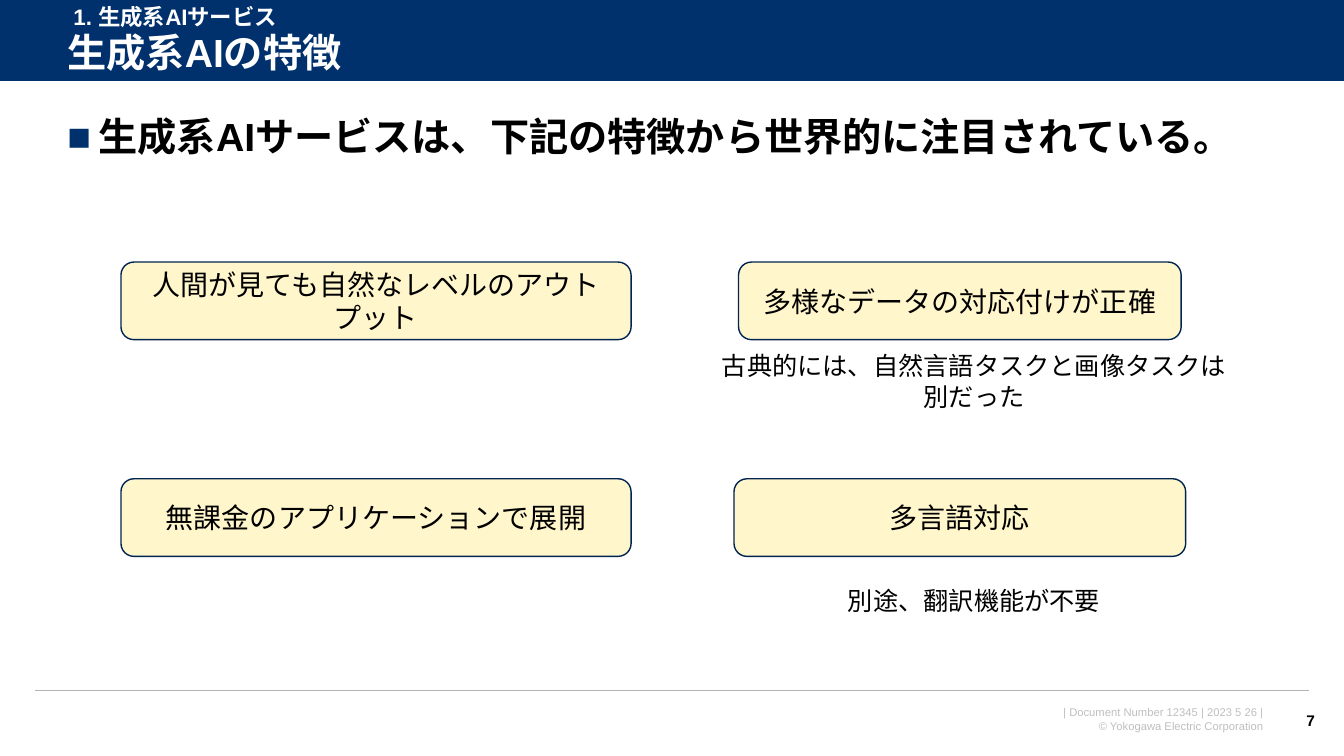
"""Build the slide on the traits of generative AI."""
from lxml import etree
from pptx import Presentation, util as u
from pptx.dml.color import RGBColor
from pptx.enum import shapes, text
from pptx.oxml.ns import qn

HEX = {"navy": "00316C", "edge": "002450", "card": "FFF6CC", "rule": "B2B2B2",
       "foot": "BFBFBF", "white": "FFFFFF", "black": "000000"}
WIDE, HIGH = 13.33, 7.5
BAND = 0.81
COLS = (3.73, 9.52)
ROWS = (2.6, 4.75)
CARD = 0.77
NOTE = {"mid": 9.66, "wide": 5.32, "high": 0.36}
HEAD = {"size": 28, "bold": True}

CARDS = [
    ("人間が見ても自然なレベルのアウトプット", 0, 0, 5.06),
    ("多様なデータの対応付けが正確", 1, 0, 4.39),
    ("無課金のアプリケーションで展開", 0, 1, 5.06),
    ("多言語対応", 1, 1, 4.48),
]
NOTES = [("古典的には、自然言語タスクと画像タスクは別だった", 1.0),
         ("別途、翻訳機能が不要", 1.03)]
FOOT = ["| Document Number 12345 | 2023 5 26 |", "© Yokogawa Electric Corporation"]
TITLE = "生成系AIの特徴"
PART = "1. 生成系AIサービス"
LEAD = "生成系AIサービスは、下記の特徴から世界的に注目されている。"
RULES = [(0, WIDE, BAND, "white", 0.75), (0.35, 12.98, 6.85, "rule", 1)]


def tint(name):
    return RGBColor.from_string(HEX[name])


def write(item, lines, hue="black", align="LEFT", mid=False, wrap=True,
          space=None, bullet=False, **font):
    frame = item.text_frame
    frame.word_wrap = wrap
    anchor = text.MSO_ANCHOR
    frame.vertical_anchor = anchor.MIDDLE if mid else anchor.TOP
    for n, line in enumerate(lines):
        para = frame.paragraphs[0] if n == 0 else frame.add_paragraph()
        para.text = line
        para.alignment = getattr(text.PP_ALIGN, align)
        if space:
            para.line_spacing = space
        if bullet:
            mark(para)
        look = {"name": "Arial", "size": u.Pt(font["size"]),
                "bold": font.get("bold", False)}
        for key, val in look.items():
            setattr(para.runs[0].font, key, val)
        para.runs[0].font.color.rgb = tint(hue)
    return frame


def mark(para):
    prop = para._p.get_or_add_pPr()
    prop.set("marL", str(u.Inches(0.31)))
    prop.set("indent", str(-u.Inches(0.31)))
    tone = etree.SubElement(prop, qn("a:buClr"))
    etree.SubElement(tone, qn("a:srgbClr")).set("val", HEX["navy"])
    etree.SubElement(prop, qn("a:buFont")).set("typeface", "Arial")
    etree.SubElement(prop, qn("a:buChar")).set("char", "■")


def main():
    deck = Presentation()
    deck.slide_width, deck.slide_height = u.Inches(WIDE), u.Inches(HIGH)
    slide = deck.slides.add_slide(deck.slide_layouts[6])
    pool = slide.shapes

    def label(place, lines, **look):
        box = pool.add_textbox(*map(u.Inches, place))
        return write(box, lines, **look)

    def block(kind, place, fill, edge=None):
        item = pool.add_shape(kind, *map(u.Inches, place))
        item.shadow.inherit = False
        item.fill.solid()
        item.fill.fore_color.rgb = tint(fill)
        if edge:
            item.line.color.rgb = tint(edge)
            item.line.width = u.Pt(1)
        else:
            item.line.fill.background()
        return item

    form = shapes.MSO_SHAPE
    foot = label((9.48, 6.95, 3.21, 0.37), FOOT, hue="foot", align="RIGHT", size=8)
    foot.paragraphs[0]._p.get_or_add_pPr().set("marR", str(u.Inches(0.06)))
    block(form.RECTANGLE, (0, 0, WIDE, BAND), "navy")
    for left, right, y, hue, thick in RULES:
        rule = pool.add_connector(shapes.MSO_CONNECTOR.STRAIGHT,
                                  *map(u.Inches, (left, y, right, y)))
        rule.line.color.rgb = tint(hue)
        rule.line.width = u.Pt(thick)
        etree.SubElement(rule._element.spPr, qn("a:effectLst"))

    label((0.57, 0.26, 12.47, 0.57), [TITLE], hue="white", mid=True, space=0.9, **HEAD)
    label((12.7, 6.95, 0.44, 0.4), ["7"], align="RIGHT", mid=True, wrap=False,
          size=11, bold=True)
    label((0.57, 1.12, 12.47, 0.77), [LEAD], space=0.9, bullet=True, **HEAD)
    label((0.63, -0.02, 3.1, 0.37), [PART], hue="white", size=16, bold=True)

    for words, col, row, wide in CARDS:
        place = (COLS[col] - wide / 2, ROWS[row], wide, CARD)
        card = block(form.ROUNDED_RECTANGLE, place, "card", "edge")
        write(card, [words], align="CENTER", mid=True, size=20)
    for top, (words, drop) in zip(ROWS, NOTES):
        place = (NOTE["mid"] - NOTE["wide"] / 2, top + drop, NOTE["wide"], NOTE["high"])
        label(place, [words], align="CENTER", mid=True, size=18)
    deck.save("out.pptx")


if __name__ == "__main__":
    main()
